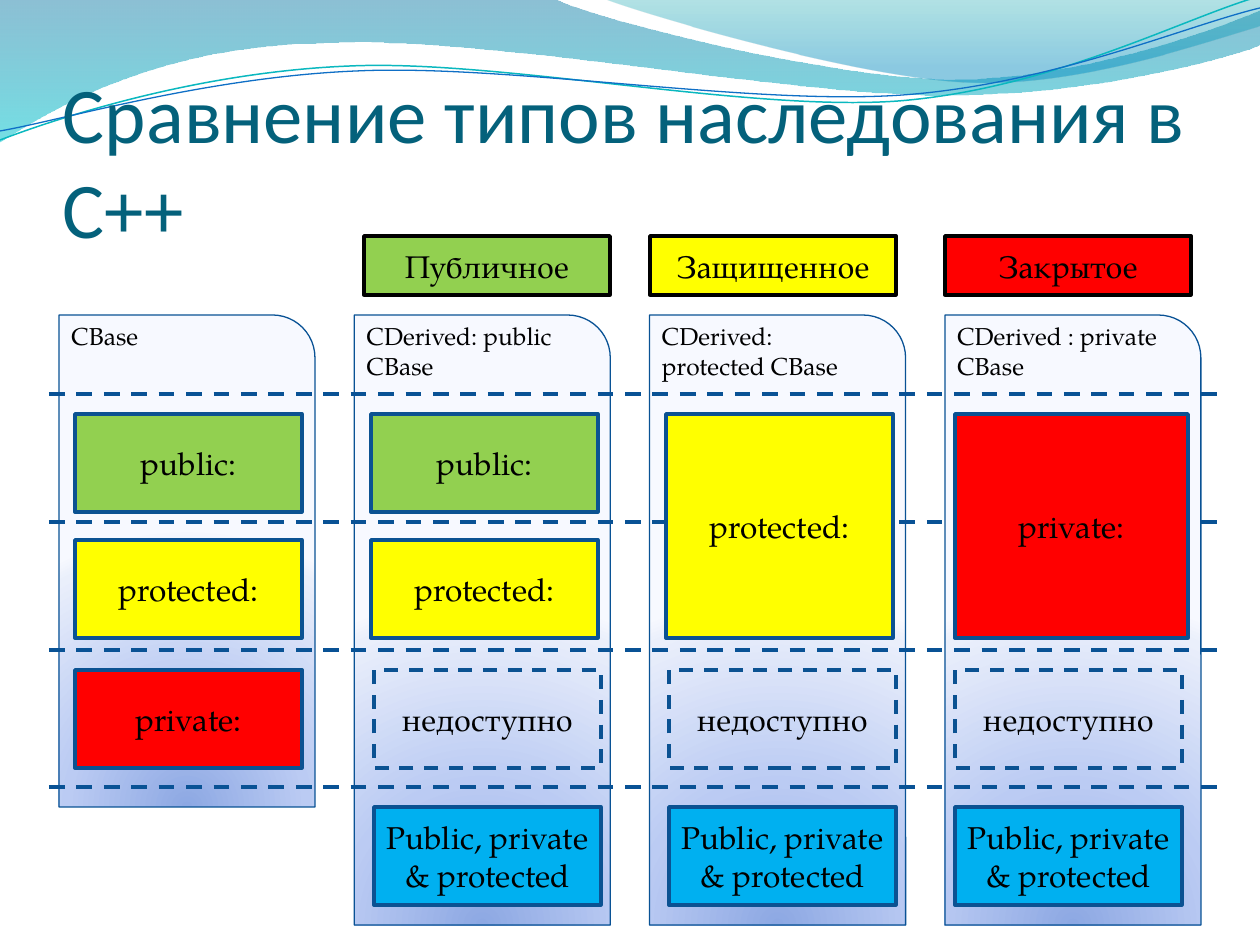
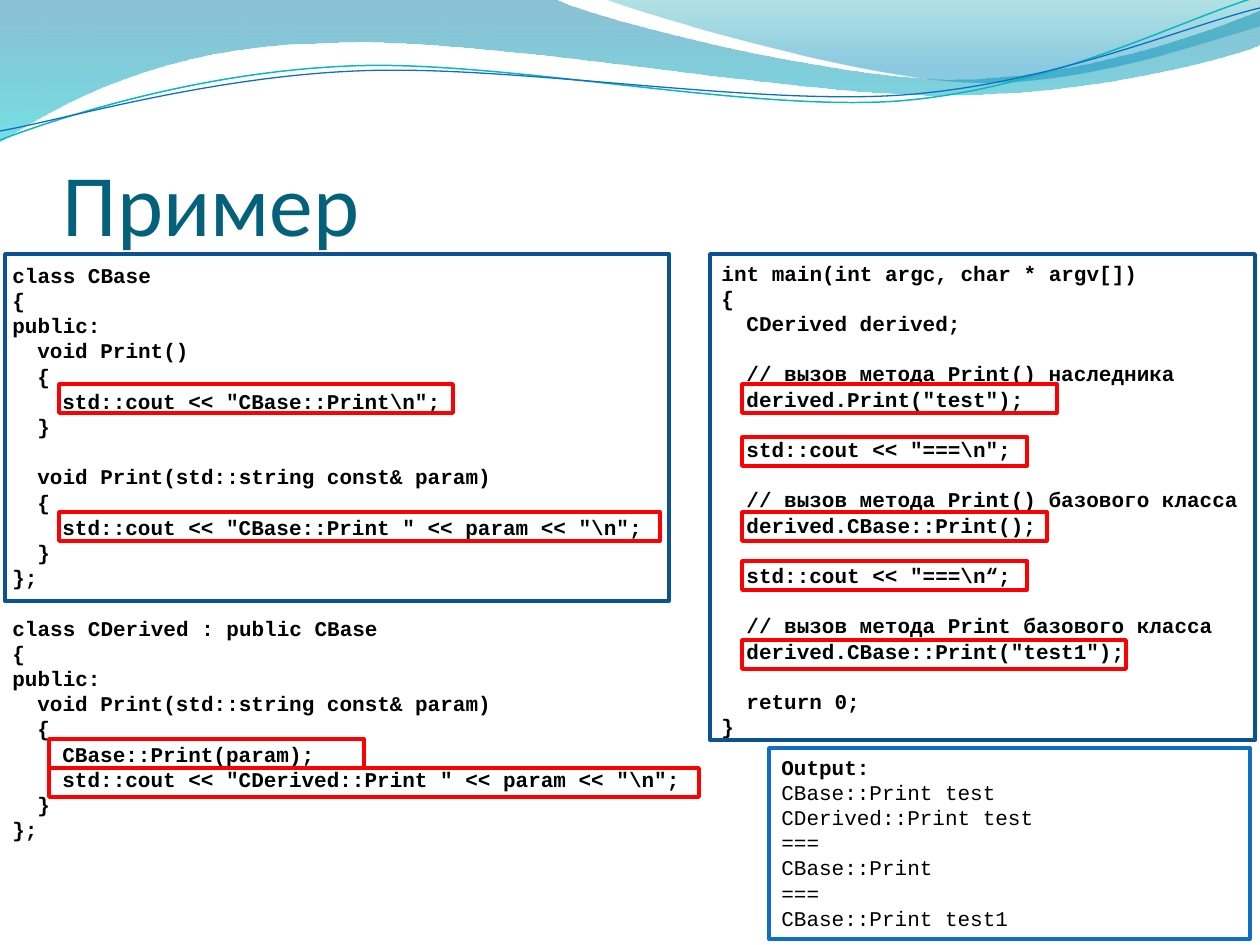
from lxml import etree
from pptx import Presentation
from pptx.dml.color import RGBColor
from pptx.enum.dml import MSO_LINE
from pptx.enum.shapes import MSO_CONNECTOR, MSO_SHAPE
from pptx.enum.text import MSO_ANCHOR, PP_ALIGN
from pptx.oxml import parse_xml
from pptx.oxml.ns import qn
from pptx.util import Pt

RECT, CARD = MSO_SHAPE.RECTANGLE, MSO_SHAPE.ROUND_1_RECTANGLE
LINE, DASH = MSO_CONNECTOR.STRAIGHT, MSO_LINE.DASH
TOP, MID, LOW = MSO_ANCHOR.TOP, MSO_ANCHOR.MIDDLE, MSO_ANCHOR.BOTTOM
LEFT, CENTER = PP_ALIGN.LEFT, PP_ALIGN.CENTER

PX = 914400 / 126
NS = "http://schemas.openxmlformats.org/drawingml/2006/main"
INK = {
    "title": "04617B", "text": "000000", "white": "FFFFFF",
    "edge": "0B5292", "rule": "095295", "out": "0F6FC6",
    "green": "92D050", "yellow": "FFFF00", "red": "FF0000", "sky": "00B0F0",
    "teal": "0AB8BF",
}
SERIF = {"name": "TeX Gyre Pagella", "size": Pt(18)}
SMALL = {**SERIF, "size": Pt(14)}
MONO = {"name": "Courier New", "size": Pt(12)}
PITCH = Pt(14.4)
TAB = 25

# Waves: two numbers are a line end, six are a curve.
BANDS = [
    ([(0, 0), (554, -1), (600, 21, 837, 79, 955, 79),
      (1075, 79, 1207, 33, 1260, 11), (1261, 45),
      (1238, 55, 1096, 96, 940, 95), (784, 95, 481, 35, 324, 43),
      (163, 45, 58, 105, -1, 142), (0, 0)],
     [(0, "0074A1", 45), (100, "00C6CF", 55)]),
    ([(604, -1), (641, 14, 859, 78, 969, 82),
      (1079, 87, 1211, 40, 1260, 26), (1260, 0), (604, -1)],
     [(0, "00A1A9", 30), (80, "008BBF", 45)]),
]
CURVES = [
    ([(0, 140), (60, 117, 199, 72, 349, 66), (498, 59, 747, 112, 898, 101),
      (1050, 89, 1182, 19, 1257, -3)], "teal", 0.85),
    ([(0, 131), (59, 121, 207, 77, 357, 71), (508, 64, 752, 106, 903, 95),
      (1053, 84, 1185, 26, 1260, 8)], "out", 0.75),
]
GLOW = [(0, "8DA8E3", 100), (43, "BBCBF3", 100),
        (93, "EAEFFB", 100), (100, "F7F9FF", 100)]

# Inheritance slide
CARDS = [("CBase", 492), ("CDerived: public CBase", 610),
         ("CDerived: protected CBase", 610), ("CDerived : private CBase", 610)]
KINDS = [(364, "Публичное", "green"), (650, "Защищенное", "yellow"),
         (945, "Закрытое", "red")]
RULES = [394, 522, 650, 787]
ROWS = [414, 540, 670, 807]
BOX, TALL = 98, 224
FIELDS = [  # left, row, width, height, text, fill
    (75, 0, 227, BOX, "public:", "green"),
    (75, 1, 227, BOX, "protected:", "yellow"),
    (75, 2, 227, BOX, "private:", "red"),
    (371, 0, 227, BOX, "public:", "green"),
    (371, 1, 227, BOX, "protected:", "yellow"),
    (666, 0, 227, TALL, "protected:", "yellow"),
    (955, 0, 233, TALL, "private:", "red"),
]
HEIRS = [374, 669, 955]

# Example slide
CLASSES = r"""class CBase
{
public:
  void Print()
  {
    std::cout << "CBase::Print\n";
  }

  void Print(std::string const& param)
  {
    std::cout << "CBase::Print " << param << "\n";
  }
};

class CDerived : public CBase
{
public:
  void Print(std::string const& param)
  {
    CBase::Print(param);
    std::cout << "CDerived::Print " << param << "\n";
  }
};"""
MAIN = r"""int main(int argc, char * argv[])
{
  CDerived derived;

  // вызов метода Print() наследника
  derived.Print("test");

  std::cout << "===\n";

  // вызов метода Print() базового класса
  derived.CBase::Print();

  std::cout << "===\n“;

  // вызов метода Print базового класса
  derived.CBase::Print("test1");

  return 0;
}"""
OUTPUT = """Output:
CBase::Print test
CDerived::Print test
===
CBase::Print
===
CBase::Print test1"""
MARKS = [  # left, top, width
    (59, 384, 394), (59, 512, 601), (49, 739, 315), (49, 768, 650),
    (742, 384, 315), (742, 437, 285), (742, 512, 305), (742, 561, 285),
    (742, 640, 384),
]
FRAMES = [(5, 254, 664, 347), (710, 254, 545, 486)]


def px(*vals):
    return [round(v * PX) for v in vals]


def rgb(name):
    return RGBColor.from_string(INK[name])


def assign(obj, vals):
    for key, val in vals.items():
        setattr(obj, key, val)


def paint(shape, fill=None, line=None, width=2, dash=None):
    shape.shadow.inherit = False
    if fill:
        shape.fill.solid()
        shape.fill.fore_color.rgb = rgb(fill)
    else:
        shape.fill.background()
    if line:
        shape.line.color.rgb = rgb(line)
        assign(shape.line, {"width": Pt(width), "dash_style": dash})
    else:
        shape.line.fill.background()


def blend(shape, stops, way):
    """Swap an empty fill for a gradient; way is the XML of its direction."""
    marks = "".join(
        f'<a:gs pos="{pos * 1000}"><a:srgbClr val="{color}">'
        f'<a:alpha val="{alpha * 1000}"/></a:srgbClr></a:gs>'
        for pos, color, alpha in stops)
    grad = parse_xml(f'<a:gradFill xmlns:a="{NS}" rotWithShape="1">'
                     f"<a:gsLst>{marks}</a:gsLst>{way}</a:gradFill>")
    props = shape.element.spPr
    props.replace(props.find(qn("a:noFill")), grad)


def write(para, text, font, color="text"):
    run = para.add_run()
    run.text = text
    assign(run.font, font)
    run.font.color.rgb = rgb(color)


def label(shape, text, font=SERIF, align=CENTER, anchor=MID):
    frame = shape.text_frame
    assign(frame, {"word_wrap": True, "vertical_anchor": anchor})
    frame.paragraphs[0].alignment = align
    write(frame.paragraphs[0], text, font)


def listing(shape, code, bold):
    """Fill a shape with code: indents become margins, gaps become spacing."""
    frame = shape.text_frame
    assign(frame, {"word_wrap": True, "vertical_anchor": TOP})
    gap, para = 0, frame.paragraphs[0]
    for num, line in enumerate(code.splitlines()):
        if not line:
            gap = PITCH
            continue
        if num:
            para = frame.add_paragraph()
        text = line.lstrip()
        depth = (len(line) - len(text)) // 2
        assign(para, {"alignment": LEFT, "line_spacing": PITCH,
                      "space_before": gap})
        para._p.get_or_add_pPr().set("marL", str(px(depth * TAB)[0]))
        write(para, text, {**MONO, "bold": bold or num == 0})
        gap = 0


def block(slide, box, kind=RECT, **look):
    shape = slide.shapes.add_shape(kind, *px(*box))
    paint(shape, **look)
    return shape


def wave(slide, path, close, **look):
    """Draw an outline through the segment ends, then bend its curves."""
    first, *rest = path
    draft = slide.shapes.build_freeform(*px(*first))
    draft.add_line_segments([px(*seg[-2:]) for seg in rest], close=close)
    shape = draft.convert_to_shape()
    steps = list(shape.element.iter(qn("a:lnTo")))
    for step, seg in zip(steps, rest):
        if len(seg) == 6:
            bend = etree.Element(qn("a:cubicBezTo"))
            vals = px(*seg)
            for x, y in zip(vals[::2], vals[1::2]):
                etree.SubElement(bend, qn("a:pt"), x=str(x - shape.left),
                                 y=str(y - shape.top))
            step.getparent().replace(step, bend)
    paint(shape, **look)
    return shape


def start(deck, title, size):
    """Add a slide with the waves and a title."""
    slide = deck.slides.add_slide(deck.slide_layouts[6])
    for path, stops in BANDS:
        blend(wave(slide, path, True), stops,
              '<a:lin ang="5400000" scaled="1"/>')
    for path, color, width in CURVES:
        wave(slide, path, False, line=color, width=width)
    frame = slide.shapes.add_textbox(*px(63, 97, 1144, 157)).text_frame
    assign(frame, {"word_wrap": True, "vertical_anchor": LOW,
                   "margin_left": 0, "margin_right": 0, "margin_bottom": 0})
    write(frame.paragraphs[0], title,
          {"name": "Calibri", "size": Pt(size)}, "title")
    return slide


def compare(deck):
    slide = start(deck, "Сравнение типов наследования в C++", 45)
    for col, (text, high) in enumerate(CARDS):
        card = block(slide, (59 + 295.3 * col, 315, 256, high), CARD,
                     line="rule", width=0.75)
        blend(card, GLOW, '<a:path path="circle"><a:fillToRect l="50000" '
              't="130000" r="50000" b="-30000"/></a:path>')
        label(card, text, SMALL, LEFT, TOP)
    for y in RULES:
        rule = slide.shapes.add_connector(LINE, *px(49, y, 1221, y))
        rule.line.color.rgb = rgb("rule")
        assign(rule.line, {"width": Pt(2.25), "dash_style": DASH})
        etree.SubElement(rule.element.spPr, qn("a:effectLst"))
    for x, row, wide, high, text, fill in FIELDS:
        label(block(slide, (x, ROWS[row], wide, high), fill=fill,
                    line="edge"), text)
    for x in HEIRS:
        label(block(slide, (x, ROWS[2], 227, BOX), line="edge", dash=DASH),
              "недоступно")
        label(block(slide, (x, ROWS[3], 227, BOX), fill="sky", line="edge"),
              "Public, private & protected")
    for x, text, fill in KINDS:
        label(block(slide, (x, 236, 246, 59), fill=fill, line="text"), text)


def example(deck):
    slide = start(deck, "Пример", 50)
    for box, code in (((0, 256, 709, 624), CLASSES),
                      ((709, 254, 551, 496), MAIN)):
        listing(slide.shapes.add_textbox(*px(*box)), code, True)
    listing(block(slide, (769, 748, 481, 191), fill="white", line="out"),
            OUTPUT, False)
    for x, y, wide in MARKS:
        block(slide, (x, y, wide, 29), line="red")
    for box in FRAMES:
        block(slide, box, line="edge")


def main():
    deck = Presentation()
    assign(deck, dict(zip(("slide_width", "slide_height"), px(1260, 945))))
    compare(deck)
    example(deck)
    deck.save("out.pptx")


if __name__ == "__main__":
    main()
